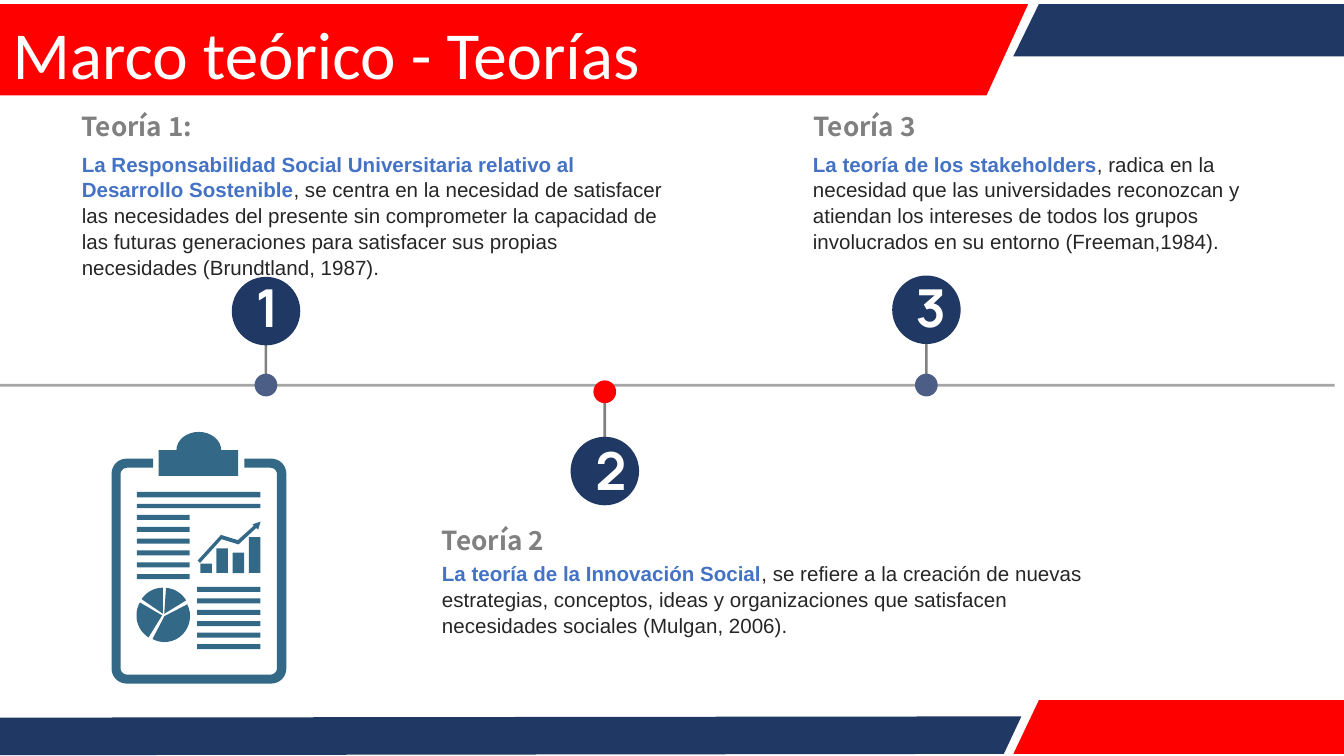
"""Build the slide "Marco teórico - Teorías" with a three-theory timeline."""
from dataclasses import dataclass
from math import cos, radians, sin

from pptx import Presentation
from pptx.dml.color import RGBColor
from pptx.enum.shapes import MSO_SHAPE
from pptx.enum.text import MSO_ANCHOR, MSO_AUTO_SIZE, PP_ALIGN
from pptx.util import Pt

RECT, OVAL = MSO_SHAPE.RECTANGLE, MSO_SHAPE.OVAL
TOP, MIDDLE = MSO_ANCHOR.TOP, MSO_ANCHOR.MIDDLE
LEFT, CENTER = PP_ALIGN.LEFT, PP_ALIGN.CENTER
NO_FIT = MSO_AUTO_SIZE.NONE
TITLE_ONLY = 5

Point = tuple[float, float]
Box = tuple[float, float, float, float]


@dataclass(frozen=True)
class Theme:
    navy: str = "203864"
    red: str = "FF0000"
    slate: str = "4C5D86"
    rule: str = "A6A6A6"
    gray: str = "808080"
    accent: str = "4472C4"
    ink: str = "262626"
    teal: str = "336987"
    white: str = "FFFFFF"
    title_font: str = "Calibri"
    number_font: str = "Manrope"
    heading_font: str = "Noto Sans CJK SC"
    body_font: str = "Arial"
    title_size: float = 36
    number_size: float = 28
    heading_size: float = 14
    body_size: float = 11


@dataclass(frozen=True)
class Band:
    color: str
    points: list[Point]


@dataclass(frozen=True)
class Marker:
    number: str
    x: float
    stem_top: float
    dot_top: float
    badge_top: float
    number_top: float
    number_dx: float
    dot_color: str


@dataclass(frozen=True)
class Theory:
    heading: str
    lead: str
    rest: str
    heading_box: Box
    body_box: Box


T = Theme()

BANDS = [
    Band(T.navy, [(0, 384.5), (547.2, 383.8), (537.8, 403.9), (0, 404.6)]),
    Band(T.red, [(720, 375.1), (720, 403.9), (542.9, 403.9), (556.6, 375.1)]),
    Band(T.red, [(0, 2.2), (550.8, 2.2), (528.5, 51.1), (0, 51.1)]),
    Band(T.navy, [(720, 2.2), (720, 30.2), (542.9, 30.2), (556.6, 2.2)]),
]

MARKERS = [
    Marker("1", 142.5, 157.7, 200.2, 148.3, 144, 0.7, T.slate),
    Marker("2", 324, 209.5, 203.8, 234, 231, 2.9, T.red),
    Marker("3", 496.3, 157.7, 200.2, 147.6, 144, 2.2, T.slate),
]

THEORIES = [
    Theory("Teoría 1:",
           "La Responsabilidad Social Universitaria relativo al Desarrollo Sostenible",
           ", se centra en la necesidad de satisfacer las necesidades del presente sin "
           "comprometer la capacidad de las futuras generaciones para satisfacer sus "
           "propias necesidades (Brundtland, 1987).",
           (36.7, 55.4, 323.3, 24.5), (36.7, 77, 327.6, 74.2)),
    Theory("Teoría 2",
           "La teoría de la Innovación Social",
           ", se refiere a la creación de nuevas estrategias, conceptos, ideas y "
           "organizaciones que satisfacen necesidades sociales (Mulgan, 2006).",
           (229.7, 277.2, 72, 24.5), (229.7, 296.6, 371.5, 47.5)),
    Theory("Teoría 3",
           "La teoría de los stakeholders",
           ", radica en la necesidad que las universidades reconozcan y atiendan los "
           "intereses de todos los grupos involucrados en su entorno (Freeman,1984).",
           (428.8, 55.4, 72, 24.5), (428.4, 77, 260.6, 60.5)),
]


def paint(sp, color: str) -> None:
    sp.shadow.inherit = False
    sp.fill.solid()
    sp.fill.fore_color.rgb = RGBColor.from_string(color)
    sp.line.fill.background()


def add_solid(shapes, kind, box: Box, color: str) -> None:
    paint(shapes.add_shape(kind, *map(Pt, box)), color)


def add_polygon(shapes, points: list[Point], color: str) -> None:
    start, *others = [(Pt(x), Pt(y)) for x, y in points]
    builder = shapes.build_freeform(*start, scale=1.0)
    builder.add_line_segments(others, close=True)
    paint(builder.convert_to_shape(), color)


def arc(cx: float, cy: float, rx: float, ry: float,
        start: float, end: float, steps: int = 16) -> list[Point]:
    angles = [radians(start + (end - start) * i / steps) for i in range(steps + 1)]
    return [(cx + rx * cos(a), cy + ry * sin(a)) for a in angles]


def style(r, font: str, size: float, color: str, bold: bool = False) -> None:
    r.font.name = font
    r.font.size = Pt(size)
    r.font.bold = bold
    r.font.color.rgb = RGBColor.from_string(color)


def add_text(shapes, box: Box, text: str, wrap: bool = True, align=LEFT):
    tf = shapes.add_textbox(*map(Pt, box)).text_frame
    tf.word_wrap = wrap
    tf.vertical_anchor = TOP
    tf.text = text
    p = tf.paragraphs[0]
    p.alignment = align
    return p


def add_marker(shapes, m: Marker) -> None:
    group = shapes.add_group_shape().shapes
    add_solid(group, RECT, (m.x - 0.7, m.stem_top, 1.4, 49), T.gray)
    add_solid(group, OVAL, (m.x - 6.1, m.dot_top, 12.2, 12.2), m.dot_color)
    add_solid(group, OVAL, (m.x - 18.35, m.badge_top, 36.7, 36.7), T.navy)
    box = (m.x + m.number_dx - 15, m.number_top, 30, 41)
    p = add_text(group, box, m.number, wrap=False, align=CENTER)
    style(p.runs[0], T.number_font, T.number_size, T.white, True)


def add_theory(shapes, theory: Theory) -> None:
    p = add_text(shapes, theory.heading_box, theory.heading)
    style(p.runs[0], T.heading_font, T.heading_size, T.gray, True)
    p = add_text(shapes, theory.body_box, theory.lead)
    p.line_spacing = 1.05
    p.add_run().text = theory.rest
    lead, rest = p.runs
    style(lead, T.body_font, T.body_size, T.accent, True)
    style(rest, T.body_font, T.body_size, T.ink)


def frame_edge(left: float, top: float, right: float, bottom: float,
               radius: float) -> list[Point]:
    x1, x2 = left + radius, right - radius
    y1, y2 = top + radius, bottom - radius
    corners = [(x1, y1, 270), (x1, y2, 180), (x2, y2, 90), (x2, y1, 0)]
    edge = [pt for x, y, a in corners for pt in arc(x, y, radius, radius, a, a - 90, 8)]
    return [(82, top), *edge, (131, top)]


def add_clipboard(shapes) -> None:
    group = shapes.add_group_shape().shapes
    outer = frame_edge(59.8, 245.7, 153.4, 366.2, 8)
    inner = frame_edge(64.6, 250.6, 148.4, 361.4, 3.5)
    dome = arc(106.5, 241.2, 12, 9.8, 180, 360)
    clip = [(85, 254.9), (85, 241.2), *dome, (127.6, 241.2), (127.6, 254.9)]
    trend = [(107.2, 301.6), (105.9, 300.3), (118.4, 286.6), (127.4, 289.4),
             (136, 281.7), (135.3, 280.9), (139.6, 279.5), (138.3, 283.8),
             (137.3, 282.9), (127.8, 291.7), (118.7, 288.9)]
    for points in (outer + inner[::-1], clip, trend):
        add_polygon(group, points, T.teal)

    lines = [(73.4, 263.5, 66.2, 3), (73.4, 269.9, 66.2, 2.3)]
    lines += [(73.4, 275.9 + 6.34 * i, 28.2, 2.7) for i in range(6)]
    lines += [(105.6, 314.4 + 6.14 * i, 34, 2.7) for i in range(6)]
    base = 307
    bars = [(107.3, 5), (115.9, 13.2), (124.6, 10.9), (133.3, 19.2)]
    lines += [(x, base - height, 6.2, height) for x, height in bars]
    for box in lines:
        add_solid(group, RECT, box, T.teal)

    for start, end in [(-27, 118), (122, 210), (214, 270), (274, 329)]:
        middle = radians((start + end) / 2)
        apex = (87.6 + 0.8 * cos(middle), 329.5 + 0.8 * sin(middle))
        add_polygon(group, [apex, *arc(*apex, 13.7, 13.9, start, end)], T.teal)


def add_title(s, text: str) -> None:
    sp = s.shapes.title
    s.shapes.element.append(sp.element)
    sp.left, sp.top, sp.width, sp.height = map(Pt, (-8.6, 0, 429.8, 56))
    tf = sp.text_frame
    tf.text = text
    tf.auto_size = NO_FIT
    tf.vertical_anchor = MIDDLE
    tf.margin_left = Pt(15.3)
    p = tf.paragraphs[0]
    p.alignment = LEFT
    style(p.runs[0], T.title_font, T.title_size, T.white)


def main() -> None:
    prs = Presentation()
    prs.slide_width, prs.slide_height = Pt(720), Pt(405)
    s = prs.slides.add_slide(prs.slide_layouts[TITLE_ONLY])
    for band in BANDS:
        add_polygon(s.shapes, band.points, band.color)
    add_solid(s.shapes, RECT, (0, 205.6, 715, 1.5), T.rule)
    add_title(s, "Marco teórico - Teorías")
    for marker in MARKERS:
        add_marker(s.shapes, marker)
    for theory in THEORIES:
        add_theory(s.shapes, theory)
    add_clipboard(s.shapes)
    prs.save("out.pptx")


if __name__ == "__main__":
    main()
